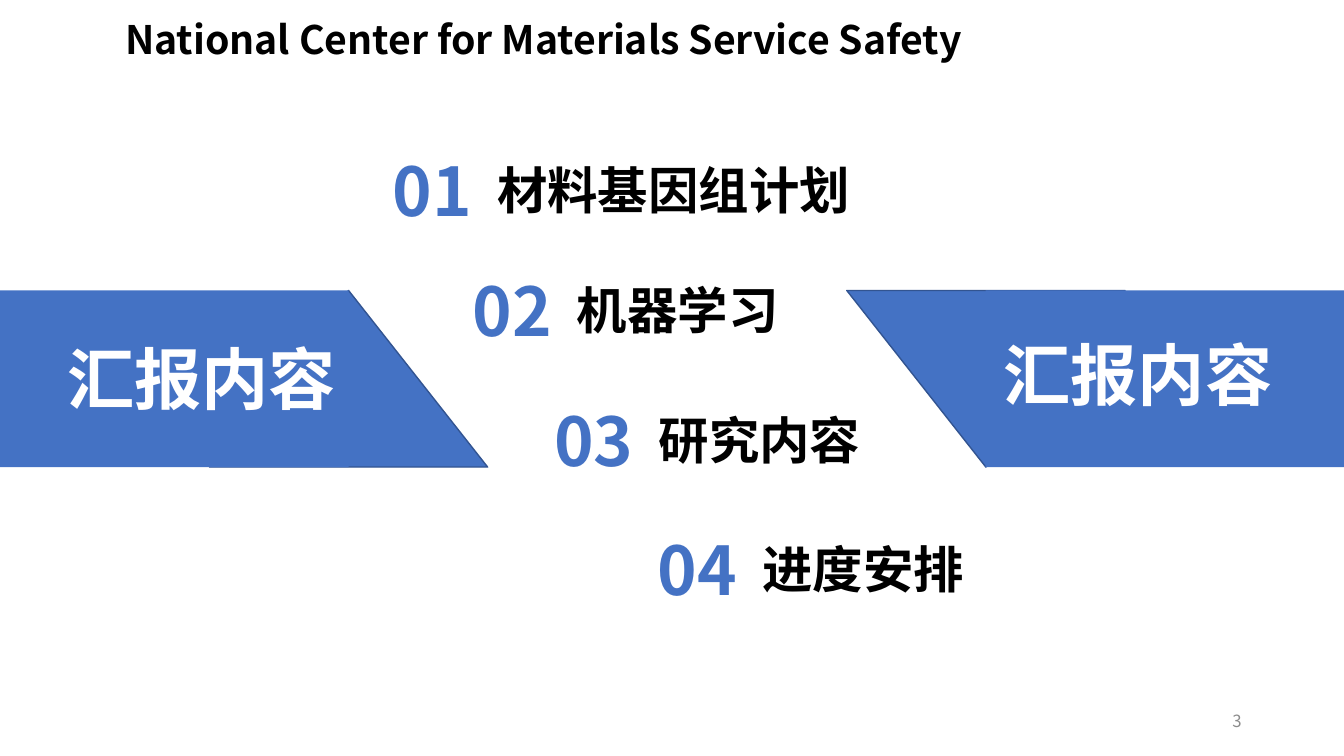
from pptx import Presentation
from pptx.dml.color import RGBColor
from pptx.enum.shapes import MSO_SHAPE
from pptx.enum.text import MSO_ANCHOR, MSO_AUTO_SIZE, PP_ALIGN
from pptx.util import Cm, Pt
from lxml.etree import SubElement
from pptx.oxml.ns import qn

FONT = "Noto Sans CJK SC"
BLUE, EDGE, BLACK, WHITE, GRAY = "4472C4", "325491", "000000", "FFFFFF", "8C8C8C"
BAND_TOP, BAND_HIGH, WEDGE_WIDE = 7.32, 4.45, 7.01
TOPICS = [
    ("材料基因组计划", 9.65, 3.63, 9.5),
    ("机器学习", 11.66, 6.65, 5.64),
    ("研究内容", 13.72, 9.93, 5.64),
    ("进度安排", 16.33, 13.18, 5.64),
]


def color(text):
    return RGBColor.from_string(text)


class Deck:
    def __init__(self):
        self.file = Presentation()
        self.file.slide_width, self.file.slide_height = Cm(33.87), Cm(19.05)
        self.slide = self.file.slides.add_slide(self.file.slide_layouts[5])

    def add_words(self, shape, text, size, tint, bold=True, align=PP_ALIGN.LEFT):
        para = shape.text_frame.paragraphs[0]
        para.alignment = align
        run = para.add_run()
        run.text = text
        font = run.font
        font.name, font.size, font.bold = FONT, Pt(size), bold
        font.color.rgb = color(tint)
        SubElement(font._element, qn("a:ea")).set("typeface", FONT)

    def title(self, text, left, top, wide, high):
        shape = self.slide.shapes.title
        shape.left, shape.top = Cm(left), Cm(top)
        shape.width, shape.height = Cm(wide), Cm(high)
        frame = shape.text_frame
        frame.word_wrap = False
        frame.auto_size = MSO_AUTO_SIZE.SHAPE_TO_FIT_TEXT
        frame.vertical_anchor = MSO_ANCHOR.TOP
        self.add_words(shape, text, 28, BLACK)

    def label(self, text, left, top, wide, high, size, tint):
        box = self.slide.shapes.add_textbox(Cm(left), Cm(top), Cm(wide), Cm(high))
        box.text_frame.word_wrap = False
        box.text_frame.auto_size = MSO_AUTO_SIZE.SHAPE_TO_FIT_TEXT
        self.add_words(box, text, size, tint)

    def block(self, kind, left, wide, edge=None):
        shape = self.slide.shapes.add_shape(
            kind, Cm(left), Cm(BAND_TOP), Cm(wide), Cm(BAND_HIGH))
        shape.shadow.inherit = False
        shape.fill.solid()
        shape.fill.fore_color.rgb = color(BLUE)
        if edge:
            shape.line.color.rgb = color(edge)
            shape.line.width = Pt(1)
        else:
            shape.line.fill.background()
        return shape

    def banner(self, wedge, turn, left, wide, text_left, text_top):
        """Draw a band with a slanted inner end and its heading."""
        shape = self.block(MSO_SHAPE.TRAPEZOID, wedge, WEDGE_WIDE, EDGE)
        shape.adjustments[0] = 0.79
        shape.rotation = turn
        self.block(MSO_SHAPE.RECTANGLE, left, wide)
        self.label("汇报内容", text_left, text_top, 7.34, 2.31, 48, WHITE)

    def topic(self, count, text, left, top, wide):
        self.label(f"{count:02}", left, top, 2.62, 2.31, 48, BLUE)
        self.label(text, left + 2.63, top + 0.26, wide, 1.8, 36, BLACK)

    def number(self, text):
        box = self.slide.shapes.add_textbox(Cm(23.92), Cm(17.66), Cm(7.62), Cm(1.01))
        box.text_frame.word_wrap = True
        box.text_frame.vertical_anchor = MSO_ANCHOR.MIDDLE
        self.add_words(box, text, 12, GRAY, False, PP_ALIGN.RIGHT)


def main():
    deck = Deck()
    deck.title("National Center for Materials Service Safety", 2.9, 0.25, 22.53, 1.45)
    deck.banner(5.28, 0, 0, 8.79, 1.45, 8.38)
    deck.banner(21.34, 180, 24.84, 9.03, 25.04, 8.28)
    for count, topic in enumerate(TOPICS, 1):
        deck.topic(count, *topic)
    deck.number("3")
    deck.file.save("out.pptx")


if __name__ == "__main__":
    main()
